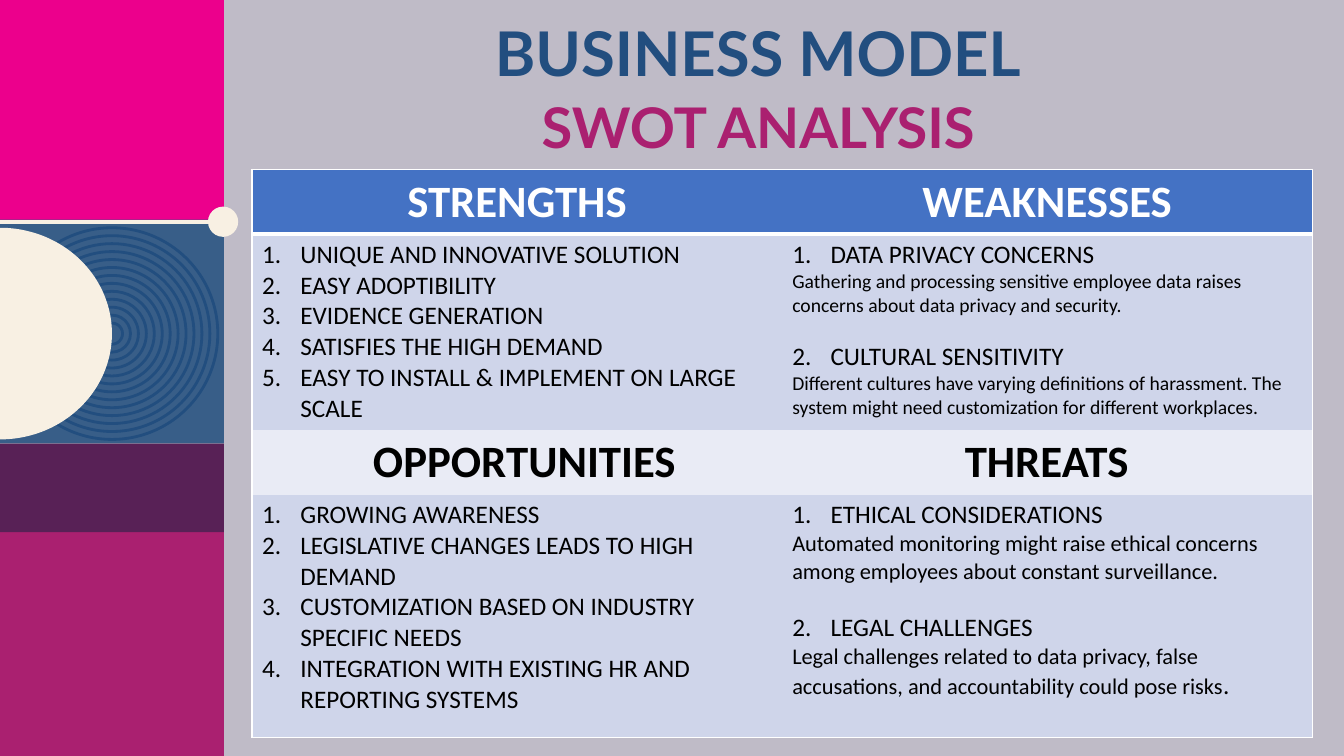
"""Build the SWOT analysis slide of a business model."""

from dataclasses import dataclass
from math import cos, pi, sin

from pptx import Presentation
from pptx.dml.color import RGBColor
from pptx.enum.shapes import MSO_CONNECTOR as Connector, MSO_SHAPE as Preset
from pptx.enum.text import MSO_ANCHOR as Anchor, MSO_AUTO_SIZE as AutoSize, PP_ALIGN as Align
from pptx.oxml.ns import qn
from pptx.oxml.xmlchemy import OxmlElement
from pptx.util import Inches, Pt

WIDTH, HEIGHT = Inches(13.333), Inches(7.5)
COLUMN, ROW = WIDTH / 60, HEIGHT / 75
NAVY, PLUM, CREAM, WHITE, BLACK = "224E7F", "AA2070", "F8F0E3", "FFFFFF", "000000"
HEADER, BODY, SUBHEAD = "4472C4", "CFD5EA", "E9EBF5"
RING_COUNT, RING_COLUMN, RING_ROW = 13, 5, 33.1
NO_STYLE = "{2D5ABB26-0587-4C30-8999-92F81FD0307C}"


@dataclass(frozen=True)
class Band:
    top: float
    height: float
    color: str


@dataclass(frozen=True)
class Line:
    text: str
    size: float = 18
    number: int = 0
    before: float = 0
    indent: float = 0
    centered: bool = False
    ending: str = ""


@dataclass(frozen=True)
class TableRow:
    height: float
    fill: str
    color: str
    bold: bool
    cells: tuple


BANDS = (
    Band(0, 22.2, "EC008C"),
    Band(52.8, 22.2, PLUM),
    Band(21.8, 22.2, "385E88"),
    Band(44, 8.8, "582156"),
)


def numbered(*texts: str) -> tuple:
    return tuple(Line(text, number=place) for place, text in enumerate(texts, 1))


SWOT = (
    TableRow(6.4, HEADER, WHITE, True, (
        (Line("STRENGTHS", 32, centered=True),),
        (Line("WEAKNESSES", 32, centered=True),),
    )),
    TableRow(19.4, BODY, BLACK, False, (
        numbered(
            "UNIQUE AND INNOVATIVE SOLUTION",
            "EASY ADOPTIBILITY",
            "EVIDENCE GENERATION",
            "SATISFIES THE HIGH DEMAND",
            "EASY TO INSTALL & IMPLEMENT ON LARGE SCALE",
        ),
        (
            Line("DATA PRIVACY CONCERNS", number=1),
            Line("Gathering and processing sensitive employee data raises concerns "
                 "about data privacy and security.", 14),
            Line("CULTURAL SENSITIVITY", number=2, before=17),
            Line("Different cultures have varying definitions of harassment. The system "
                 "might need customization for different workplaces.", 14),
        ),
    )),
    TableRow(6.4, SUBHEAD, BLACK, True, (
        (Line("OPPORTUNITIES", 32, indent=4.95),),
        (Line("THREATS", 32, indent=7.7),),
    )),
    TableRow(24.1, BODY, BLACK, False, (
        numbered(
            "GROWING AWARENESS",
            "LEGISLATIVE CHANGES LEADS TO HIGH DEMAND",
            "CUSTOMIZATION BASED ON INDUSTRY SPECIFIC NEEDS",
            "INTEGRATION WITH EXISTING HR AND REPORTING SYSTEMS",
        ),
        (
            Line("ETHICAL CONSIDERATIONS", number=1),
            Line("Automated monitoring might raise ethical concerns among employees "
                 "about constant surveillance.", 16),
            Line("LEGAL CHALLENGES", number=2, before=19.5),
            Line("Legal challenges related to data privacy, false accusations, and "
                 "accountability could pose risks", 16, ending="."),
        ),
    )),
)


def paint(target, color: str) -> None:
    target.solid()
    target.fore_color.rgb = RGBColor.from_string(color)


def across(columns: float) -> int:
    return round(columns * COLUMN)


def down(rows: float) -> int:
    return round(rows * ROW)


def finish(shape, color: str) -> None:
    shape.shadow.inherit = False
    paint(shape.fill, color)
    shape.line.fill.background()


def add_circle(page, column: float, row: float, diameter: float):
    size = down(diameter)
    left, top = across(column) - size // 2, down(row) - size // 2
    return page.shapes.add_shape(Preset.OVAL, left, top, size, size)


def add_rings(page) -> None:
    for place in range(RING_COUNT):
        ring = add_circle(page, RING_COLUMN, RING_ROW, 21 - place * 1.575)
        ring.shadow.inherit = False
        ring.fill.background()
        paint(ring.line.fill, NAVY)
        ring.line.width = Pt(2)


def add_half_disc(page) -> None:
    angles = [-pi / 2 + pi * step / 90 for step in range(91)]
    points = [(across(5 * cos(angle)), down(RING_ROW + 10.5 * sin(angle))) for angle in angles]
    outline = page.shapes.build_freeform(*points[0])
    outline.add_line_segments(points[1:], close=True)
    finish(outline.convert_to_shape(), CREAM)


def add_side_art(page) -> None:
    for band in BANDS:
        box = page.shapes.add_shape(Preset.RECTANGLE, 0, down(band.top), across(10), down(band.height))
        finish(box, band.color)
    add_rings(page)
    add_half_disc(page)
    rule = page.shapes.add_connector(Connector.STRAIGHT, 0, down(22), across(10.6), down(22))
    paint(rule.line.fill, CREAM)
    rule.line.width = Pt(3)
    rule._element.spPr.append(OxmlElement("a:effectLst"))
    finish(add_circle(page, 9.96, 22, 3), CREAM)


def style_run(run, font: str, size: float, color: str, bold: bool) -> None:
    run.font.name, run.font.size, run.font.bold = font, Pt(size), bold
    paint(run.font.fill, color)


def format_heading(box, top: float, text: str, size: float, color: str) -> None:
    box.left, box.top, box.width, box.height = across(17.96), down(top), across(31.77), down(7.3)
    frame = box.text_frame
    frame.text = text
    frame.word_wrap, frame.auto_size = True, AutoSize.NONE
    frame.vertical_anchor = Anchor.MIDDLE
    para = frame.paragraphs[0]
    para.alignment, para.line_spacing = Align.CENTER, 0.9
    style_run(para.runs[0], "Lato", size, color, True)


def write_line(para, line: Line, row: TableRow) -> None:
    para.text = line.text
    properties = para._p.get_or_add_pPr()
    if line.number:
        properties.set("marL", str(Inches(0.38)))
        properties.set("indent", str(-Inches(0.38)))
        bullet = OxmlElement("a:buAutoNum")
        bullet.set("type", "arabicPeriod")
        if line.before:
            bullet.set("startAt", str(line.number))
        properties.append(bullet)
    elif line.indent:
        properties.set("marL", str(across(line.indent)))
    para.alignment = Align.CENTER if line.centered else Align.LEFT
    if line.before:
        para.space_before = Pt(line.before)
    style_run(para.runs[0], "Calibri", line.size, row.color, row.bold)
    if line.ending:
        span = para.add_run()
        span.text = line.ending
        style_run(span, "Calibri", 18, row.color, row.bold)


def add_borders(cell, widths: dict) -> None:
    properties = cell._tc.get_or_add_tcPr()
    for place, (side, width) in enumerate(widths.items()):
        edge, fill, color = (OxmlElement(tag) for tag in (f"a:ln{side}", "a:solidFill", "a:srgbClr"))
        edge.set("w", str(Pt(width)))
        color.set("val", WHITE)
        fill.append(color)
        edge.append(fill)
        properties.insert(place, edge)


def add_swot_table(page) -> None:
    height = down(sum(row.height for row in SWOT))
    frame = page.shapes.add_table(len(SWOT), 2, across(11.25), down(16.8), across(47.34), height)
    table = frame.table
    table.horz_banding = False
    table._tbl.tblPr.find(qn("a:tableStyleId")).text = NO_STYLE
    for r, row in enumerate(SWOT):
        table.rows[r].height = down(row.height)
        for c, lines in enumerate(row.cells):
            cell = table.cell(r, c)
            paint(cell.fill, row.fill)
            widths = {"R" if c else "L": 1}
            if r == 0:
                widths |= {"T": 1, "B": 3}
            elif r == len(SWOT) - 1:
                widths["B"] = 1
            add_borders(cell, widths)
            for place, line in enumerate(lines):
                para = cell.text_frame.add_paragraph() if place else cell.text_frame.paragraphs[0]
                write_line(para, line, row)


def main() -> None:
    deck = Presentation()
    deck.slide_width, deck.slide_height = WIDTH, HEIGHT
    page = deck.slides.add_slide(deck.slide_layouts[5])
    paint(page.background.fill, "BFBBC7")
    add_side_art(page)
    format_heading(page.shapes.title, 2, "BUSINESS MODEL", 44, NAVY)
    format_heading(page.shapes.add_textbox(0, 0, 0, 0), 9.3, "SWOT ANALYSIS", 40, PLUM)
    add_swot_table(page)
    deck.save("out.pptx")


if __name__ == "__main__":
    main()
